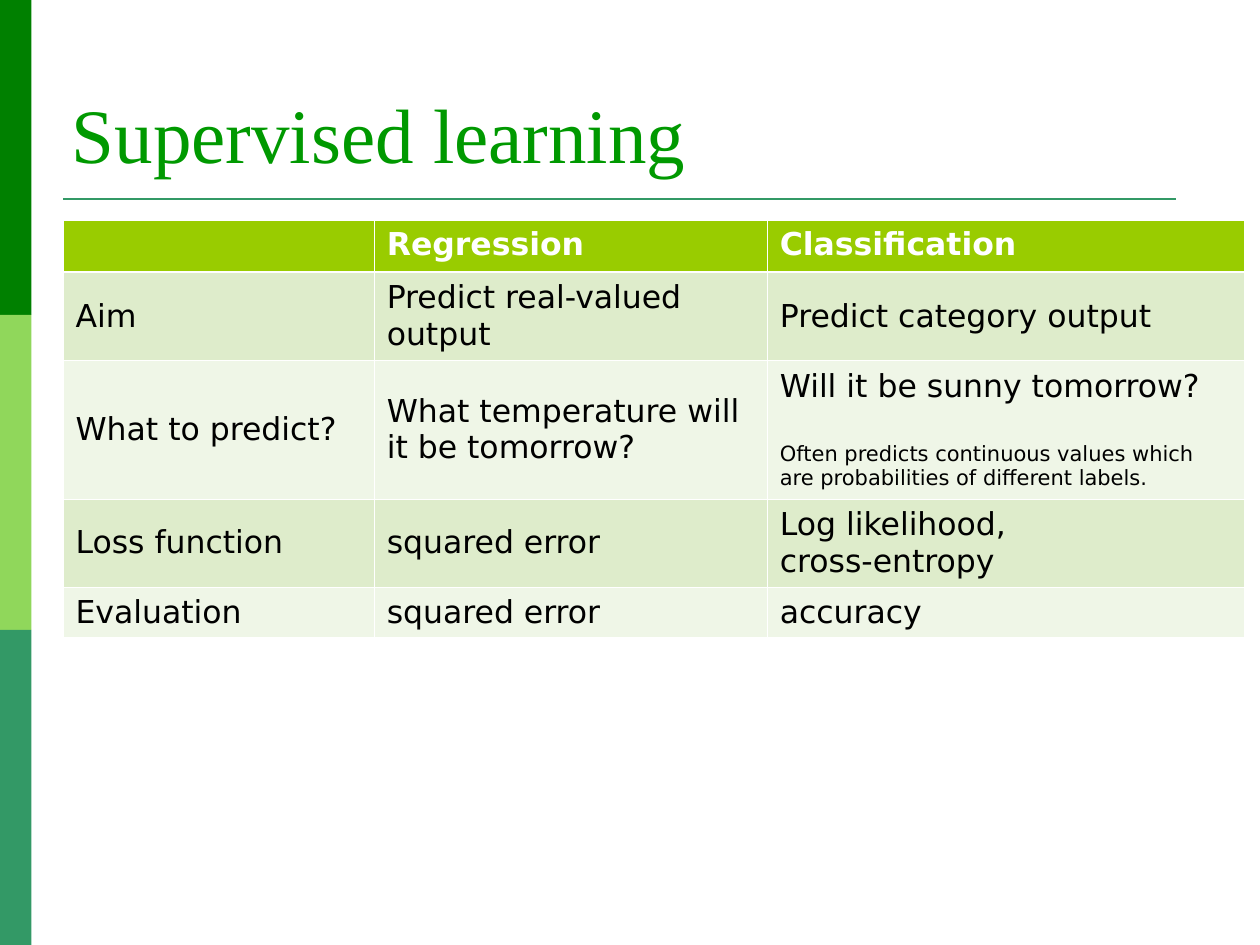
from typing import NamedTuple

from lxml import etree
from pptx import Presentation
from pptx import util as u
from pptx.dml.color import RGBColor
from pptx.enum import shapes, text
from pptx.oxml.ns import qn

WHITE, BLACK, TEAL = "FFFFFF", "000000", "339966"
HEADER_FILL, BAND_FILLS = "99CC00", ("DEECCB", "EFF6E7")
THIN, THICK = 0.45, 1.47


class Line(NamedTuple):
    """One paragraph in a table cell."""
    words: str
    size: float = 18
    before: float = 0


class Row(NamedTuple):
    height: float
    cells: tuple


COLUMN_WIDTHS = (2.47, 3.12, 3.79)
ROWS = (
    Row(0.41, ((), (Line("Regression"),), (Line("Classification"),))),
    Row(0.7, ((Line("Aim"),), (Line("Predict real-valued output"),),
              (Line("Predict category output"),))),
    Row(1.1, ((Line("What to predict?"),),
              (Line("What temperature will it be tomorrow?"),),
              (Line("Will it be sunny tomorrow?"),
               Line("Often predicts continuous values which are "
                    "probabilities of different labels.", 12, 21)))),
    Row(0.7, ((Line("Loss function"),), (Line("squared error"),),
              (Line("Log likelihood,"), Line("cross-entropy")))),
    Row(0.4, ((Line("Evaluation"),), (Line("squared error"),),
              (Line("accuracy"),))),
)


def rgb(color: str) -> RGBColor:
    return RGBColor.from_string(color)


def format_font(font, color: str, **values) -> None:
    for name, value in values.items():
        setattr(font, name, value)
    font.color.rgb = rgb(color)


def add_side_band(slide, index: int, color: str) -> None:
    height = 2.5
    band = slide.shapes.add_shape(
        shapes.MSO_SHAPE.RECTANGLE, 0, u.Inches(index * height),
        u.Inches(0.25), u.Inches(height))
    band.shadow.inherit = False
    band.fill.solid()
    band.fill.fore_color.rgb = rgb(color)
    band.line.fill.background()


def add_title_rule(slide) -> None:
    rule = slide.shapes.add_connector(
        shapes.MSO_CONNECTOR.STRAIGHT, u.Inches(0.5), u.Inches(1.58),
        u.Inches(9.33), u.Inches(1.58))
    rule.line.color.rgb = rgb(TEAL)
    rule.line.width = u.Pt(1.5)
    etree.SubElement(rule._element.spPr, qn("a:effectLst"))


def set_title(slide, words: str) -> None:
    title = slide.shapes.title
    place = {"left": 0.47, "top": 0.55, "width": 9.41, "height": 0.92}
    for name, value in place.items():
        setattr(title, name, u.Inches(value))
    frame = title.text_frame
    frame.text = words
    frame.auto_size = text.MSO_AUTO_SIZE.NONE
    frame.vertical_anchor = text.MSO_ANCHOR.BOTTOM
    heading = frame.paragraphs[0]
    heading.alignment = text.PP_ALIGN.LEFT
    format_font(heading.runs[0].font, "009900",
                name="Times New Roman", size=u.Pt(44))


def set_borders(cell, top: float, bottom: float) -> None:
    properties = cell._tc.get_or_add_tcPr()
    widths = {"a:lnL": THIN, "a:lnR": THIN, "a:lnT": top, "a:lnB": bottom}
    for tag, width in widths.items():
        border = etree.SubElement(properties, qn(tag), w=str(u.Pt(width)))
        fill = etree.SubElement(border, qn("a:solidFill"))
        etree.SubElement(fill, qn("a:srgbClr"), val=WHITE)


def fill_cell(cell, lines: tuple, row_index: int) -> None:
    header = row_index == 0
    set_borders(cell, THICK if row_index == 1 else THIN,
                THICK if header else THIN)
    cell.fill.solid()
    cell.fill.fore_color.rgb = rgb(
        HEADER_FILL if header else BAND_FILLS[(row_index - 1) % 2])
    cell.vertical_anchor = (text.MSO_ANCHOR.TOP if header
                            else text.MSO_ANCHOR.MIDDLE)
    frame = cell.text_frame
    for index, line in enumerate(lines):
        paragraph = frame.add_paragraph() if index else frame.paragraphs[0]
        if line.before:
            paragraph.space_before = u.Pt(line.before)
        run = paragraph.add_run()
        run.text = line.words
        format_font(run.font, WHITE if header else BLACK,
                    name="DejaVu Sans", size=u.Pt(line.size), bold=header)


def add_comparison(slide) -> None:
    table = slide.shapes.add_table(
        len(ROWS), len(COLUMN_WIDTHS), u.Inches(0.5), u.Inches(1.75),
        u.Inches(sum(COLUMN_WIDTHS)),
        u.Inches(sum(row.height for row in ROWS))).table
    for column, width in zip(table.columns, COLUMN_WIDTHS):
        column.width = u.Inches(width)
    for row_index, row in enumerate(ROWS):
        table.rows[row_index].height = u.Inches(row.height)
        for column_index, lines in enumerate(row.cells):
            fill_cell(table.cell(row_index, column_index), lines, row_index)


def main() -> None:
    deck = Presentation()
    deck.slide_width, deck.slide_height = u.Inches(10), u.Inches(7.5)
    slide = deck.slides.add_slide(deck.slide_layouts.get_by_name("Title Only"))

    # Side bands and rule under the title
    for index, color in enumerate(("008000", "90D75B", TEAL)):
        add_side_band(slide, index, color)
    add_title_rule(slide)

    # Title and comparison table
    set_title(slide, "Supervised learning")
    add_comparison(slide)
    deck.save("out.pptx")


if __name__ == "__main__":
    main()
